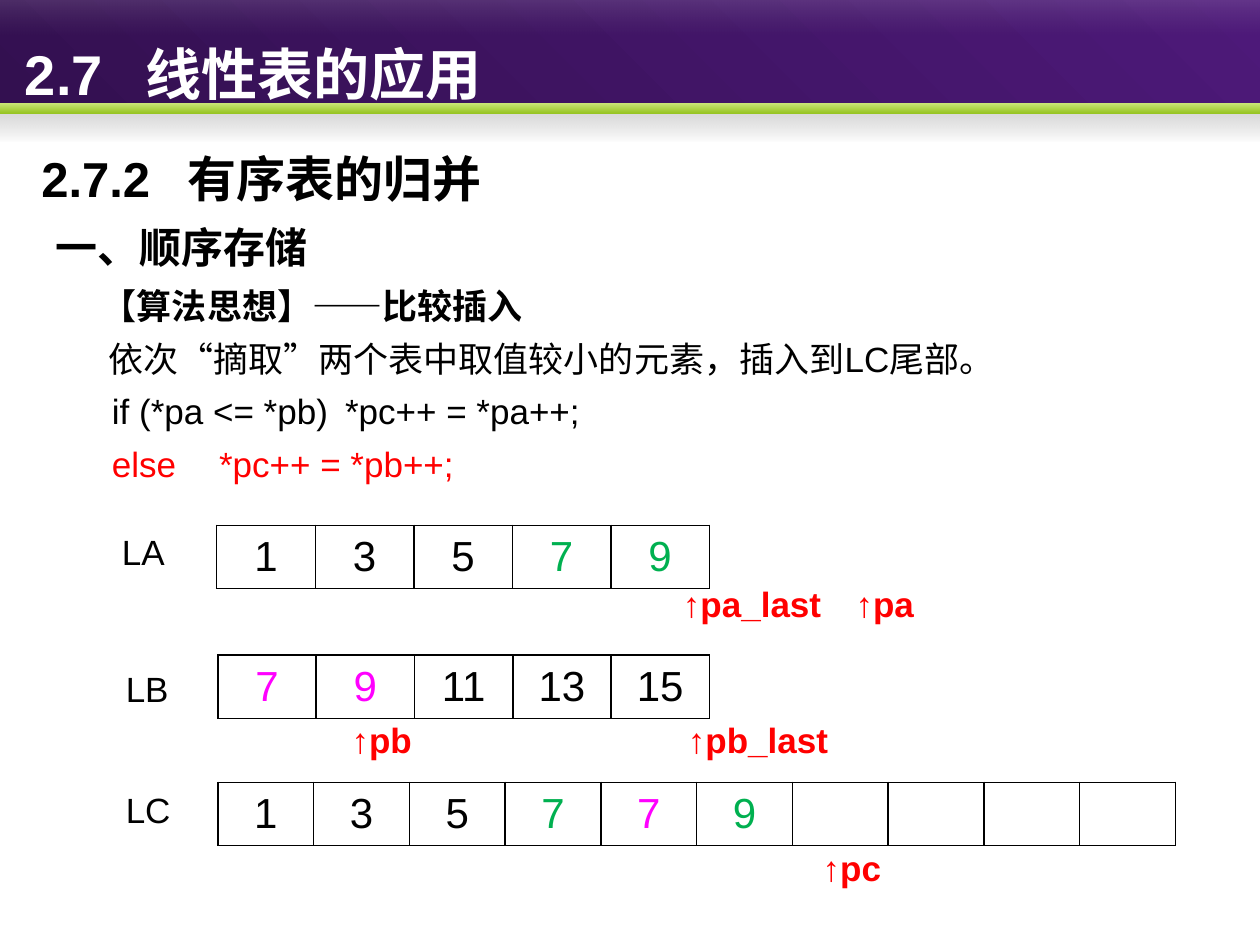
from lxml import etree
from pptx import Presentation
from pptx.dml.color import RGBColor
from pptx.enum.shapes import MSO_SHAPE as Shape
from pptx.enum.text import MSO_ANCHOR as Anchor, PP_ALIGN as Align
from pptx.oxml import parse_xml
from pptx.oxml.ns import nsdecls, qn
from pptx.util import Inches, Pt

BLACK, WHITE, RED, GREEN, PINK = "000000", "FFFFFF", "FF0000", "00B050", "FF00FF"
FONT = "Arial"

BANDS = [
    (0, 0.9, 315, [("331050", 100), ("4D1979", 100)]),
    (0.88, 0.24, 90, [("808080", 33), ("5C5C5C", 0)]),
    (0.82, 0.08, 90, [("C9E576", 100), ("97C523", 100)]),
    (0, 0.28, 90, [("FFFFFF", 13), ("B6B6B6", 0)]),
]
HEADINGS = [
    ("2.7\t线性表的应用", (0.1, 0, 9.9, 0.9), 32, WHITE, 0.96),
    ("2.7.2\t有序表的归并", (0.23, 1.13, 4.09, 0.57), 28, BLACK, 1.16),
    ("一、顺序存储", (0.34, 1.71, 2.23, 0.5), 24, BLACK, None),
]
IDEA_BOX = (0.64, 2.21, 7.39, 1.7)
IDEA = [
    ("【算法思想】——比较插入", BLACK, True, 0.07),
    ("依次“摘取”两个表中取值较小的元素，插入到LC尾部。", BLACK, False, 0.12),
    ("if (*pa <= *pb)\t*pc++ = *pa++;", BLACK, False, 0.15),
    ("else\t*pc++ = *pb++;", RED, False, 0.15),
]
CODE_TAB = 2.31
LISTS = [
    ("LA", (0.87, 4.16), (1.72, 4.17), 3.91,
     [("1", BLACK), ("3", BLACK), ("5", BLACK), ("7", GREEN), ("9", GREEN)]),
    ("LB", (0.9, 5.25), (1.73, 5.2), 3.9,
     [("7", PINK), ("9", PINK), ("11", BLACK), ("13", BLACK), ("15", BLACK)]),
    ("LC", (0.9, 6.21), (1.73, 6.21), 7.6,
     [("1", BLACK), ("3", BLACK), ("5", BLACK), ("7", GREEN), ("7", PINK),
      ("9", GREEN)] + [("", BLACK)] * 4),
]
POINTERS = [
    ("↑pb", 2.79, 5.7, 0.48),
    ("↑pa_last", 5.42, 4.62, 1.11),
    ("↑pb_last", 5.46, 5.7, 1.12),
    ("↑pc", 6.53, 6.72, 0.47),
    ("↑pa", 6.79, 4.62, 0.47),
]

prs = Presentation()
prs.slide_width, prs.slide_height = Inches(10), Inches(7.5)
slide = prs.slides.add_slide(prs.slide_layouts[6])


def rgb(color):
    return RGBColor.from_string(color)


def add_band(top, height, angle, stops):
    band = slide.shapes.add_shape(Shape.RECTANGLE, 0, Inches(top), Inches(10), Inches(height))
    band.shadow.inherit = False
    band.line.fill.background()
    stop_xml = "".join(
        f'<a:gs pos="{i * 100000}"><a:srgbClr val="{color}">'
        f'<a:alpha val="{alpha * 1000}"/></a:srgbClr></a:gs>'
        for i, (color, alpha) in enumerate(stops))
    gradient = parse_xml(
        f'<a:gradFill {nsdecls("a")} rotWithShape="1"><a:gsLst>{stop_xml}</a:gsLst>'
        f'<a:lin ang="{angle * 60000}" scaled="0"/></a:gradFill>')
    band.element.spPr.find(qn("a:prstGeom")).addnext(gradient)


def add_run(paragraph, text, size, color, bold=False):
    run = paragraph.add_run()
    run.text = text
    run.font.size = Pt(size)
    run.font.name = FONT
    run.font.bold = bold
    run.font.color.rgb = rgb(color)


def add_frame(box, wrap=True, inset=True):
    frame = slide.shapes.add_textbox(*map(Inches, box)).text_frame
    frame.word_wrap = wrap
    if not inset:
        frame.margin_left = frame.margin_right = frame.margin_top = frame.margin_bottom = 0
    return frame


def set_tab(paragraph, position):
    tabs = etree.SubElement(paragraph._p.get_or_add_pPr(), qn("a:tabLst"))
    etree.SubElement(tabs, qn("a:tab"), pos=str(Inches(position)), algn="l")


def set_border(cell):
    for side in ("lnL", "lnR", "lnT", "lnB"):
        line = etree.SubElement(cell._tc.get_or_add_tcPr(), qn(f"a:{side}"), w=str(Pt(1)))
        fill = etree.SubElement(line, qn("a:solidFill"))
        etree.SubElement(fill, qn("a:srgbClr"), val=BLACK)


def add_list(origin, width, items):
    left, top = map(Inches, origin)
    table = slide.shapes.add_table(1, len(items), left, top, Inches(width), Inches(0.5)).table
    table.first_row = table.horz_banding = False
    for column, cell, (value, color) in zip(table.columns, table.rows[0].cells, items):
        column.width = Inches(width / len(items))
        set_border(cell)
        cell.fill.background()
        cell.vertical_anchor = Anchor.MIDDLE
        if value:
            paragraph = cell.text_frame.paragraphs[0]
            paragraph.alignment = Align.CENTER
            add_run(paragraph, value, 24, color)


for band in BANDS:
    add_band(*band)

for level, (text, box, size, color, tab) in enumerate(HEADINGS):
    frame = add_frame(box, wrap=level < 2)
    paragraph = frame.paragraphs[0]
    if level == 0:
        frame.vertical_anchor = Anchor.MIDDLE
        paragraph.line_spacing = 1.5
    if tab:
        set_tab(paragraph, tab)
    add_run(paragraph, text, size, color, True)

for name, label_at, origin, width, items in LISTS:
    add_list(origin, width, items)
    label = add_frame((*label_at, 0.56, 0.44), wrap=False)
    add_run(label.paragraphs[0], name, 20, BLACK)

idea = add_frame(IDEA_BOX)
for i, (text, color, bold, indent) in enumerate(IDEA):
    paragraph = idea.add_paragraph() if i else idea.paragraphs[0]
    if i:
        paragraph.space_before = Pt(6)
    paragraph._p.get_or_add_pPr().set("indent", str(Inches(indent)))
    if "\t" in text:
        set_tab(paragraph, CODE_TAB)
    add_run(paragraph, text, 20, color, bold)

for name, left, top, width in POINTERS:
    pointer = add_frame((left, top, width, 0.34), wrap=False, inset=False)
    add_run(pointer.paragraphs[0], name, 20, RED, True)

prs.save("out.pptx")
